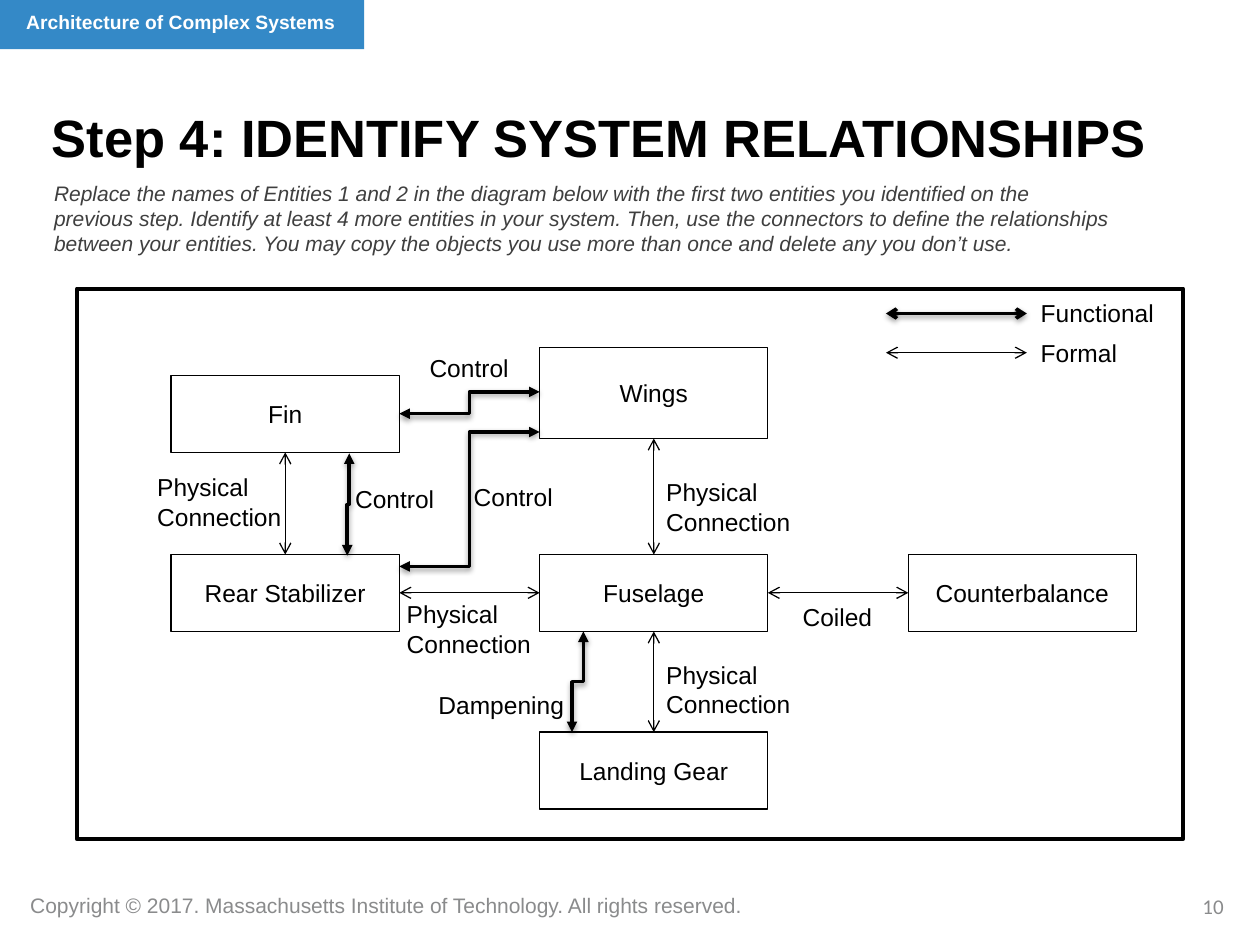
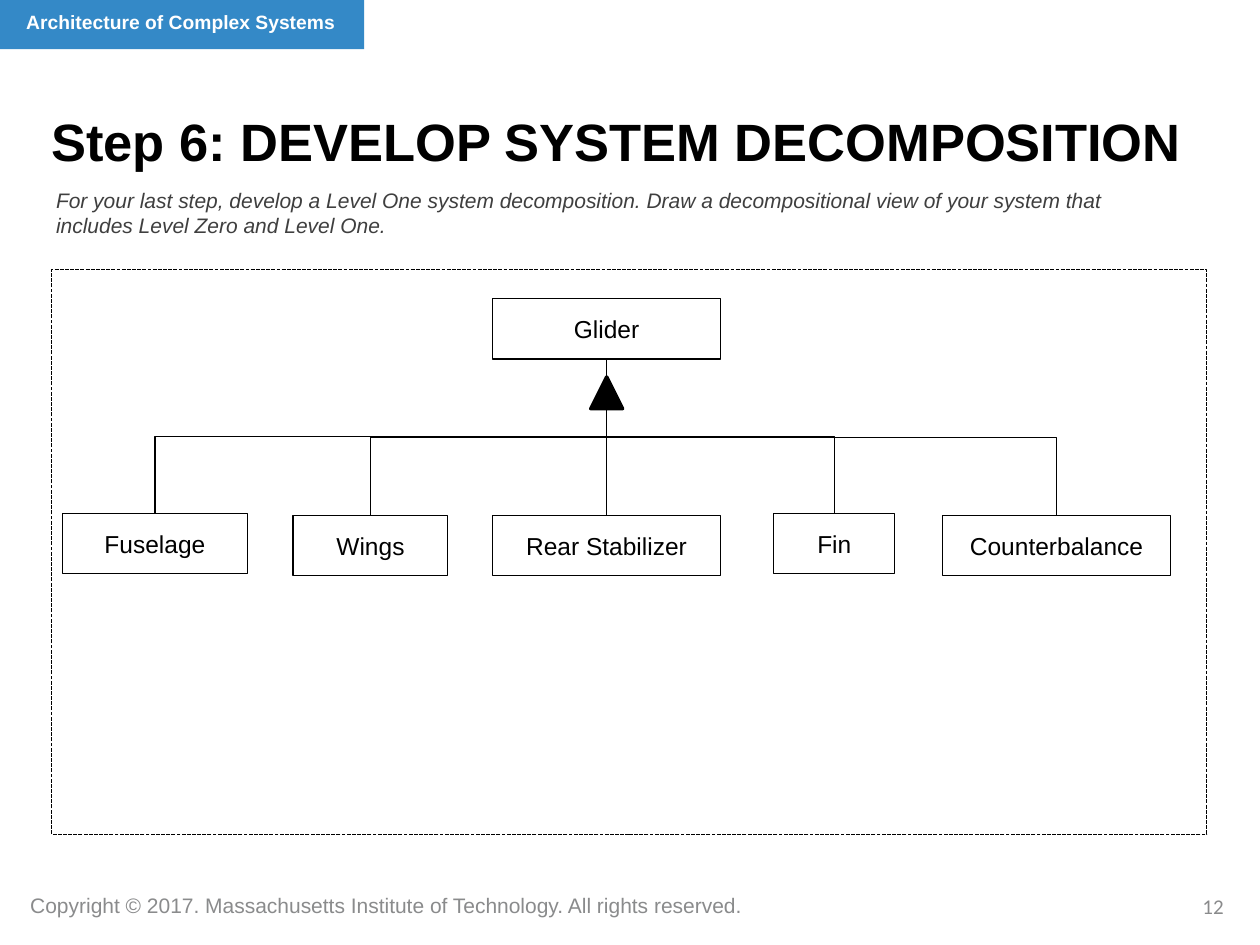
import lxml.etree
import pptx
import pptx.dml.color
import pptx.enum.dml
import pptx.enum.shapes
import pptx.enum.text
import pptx.oxml.ns
import pptx.util

Cm = pptx.util.Cm
Pt = pptx.util.Pt
qn = pptx.oxml.ns.qn
ALIGN = pptx.enum.text.PP_ALIGN
ANCHOR = pptx.enum.text.MSO_ANCHOR
SHAPE = pptx.enum.shapes.MSO_SHAPE
CONNECTOR = pptx.enum.shapes.MSO_CONNECTOR
DASH = pptx.enum.dml.MSO_LINE

COLORS = {
    "band": "3489C7",
    "white": "FFFFFF",
    "black": "000000",
    "instruction": "3F3F3F",
    "footer": "8A8B8C",
}
BOX_WIDTH = 4.6
THIN, THICK = 0.75, 2


def rgb(name):
    return pptx.dml.color.RGBColor.from_string(COLORS[name])


def write(shape, text, size, color="black", bold=False, italic=False,
          align=ALIGN.LEFT, anchor=ANCHOR.TOP, font="Arial", wrap=True):
    frame = shape.text_frame
    frame.text = text
    frame.word_wrap = wrap
    frame.auto_size = pptx.enum.text.MSO_AUTO_SIZE.NONE
    frame.vertical_anchor = anchor
    for paragraph in frame.paragraphs:
        paragraph.alignment = align
        for run in paragraph.runs:
            run.font.name = font
            run.font.size = Pt(size)
            run.font.bold = bold
            run.font.italic = italic
            run.font.color.rgb = rgb(color)


def add_text(slide, text, left, top, width, height, size, **style):
    box = slide.shapes.add_textbox(Cm(left), Cm(top), Cm(width), Cm(height))
    write(box, text, size, **style)


def add_panel(slide, left, top, width, height, fill=None, line=THIN,
              dash=None, kind=SHAPE.RECTANGLE):
    panel = slide.shapes.add_shape(kind, Cm(left), Cm(top), Cm(width), Cm(height))
    panel.shadow.inherit = False
    if fill:
        panel.fill.solid()
        panel.fill.fore_color.rgb = rgb(fill)
    else:
        panel.fill.background()
    if line:
        panel.line.color.rgb = rgb("black")
        panel.line.width = Pt(line)
        if dash:
            panel.line.dash_style = dash
    else:
        panel.line.fill.background()
    return panel


def add_entity(slide, name, left, top, width=BOX_WIDTH, height=1.55):
    box = add_panel(slide, left, top, width, height)
    write(box, name, 14, align=ALIGN.CENTER, anchor=ANCHOR.MIDDLE)


def add_label(slide, text, left, top, width):
    height = 1.45 if "\n" in text else 0.86
    add_text(slide, text, left, top, width, height, 14, wrap=False)


def add_link(slide, start, end, weight=THIN, head=None, vertical=False):
    (x1, y1), (x2, y2) = start, end
    straight = x1 == x2 or y1 == y2
    turned = vertical and not straight
    if turned:
        middle_x, middle_y = (x1 + x2) / 2, (y1 + y2) / 2
        half_x, half_y = (x2 - x1) / 2, (y2 - y1) / 2
        x1, x2 = middle_x - half_y, middle_x + half_y
        y1, y2 = middle_y + half_x, middle_y - half_x
    kind = CONNECTOR.STRAIGHT if straight else CONNECTOR.ELBOW
    link = slide.shapes.add_connector(kind, Cm(x1), Cm(y1), Cm(x2), Cm(y2))
    properties = link._element.spPr
    if turned:
        properties.find(qn("a:xfrm")).set("rot", "5400000")
    link.line.color.rgb = rgb("black")
    link.line.width = Pt(weight)
    if head:
        line = properties.find(qn("a:ln"))
        for end_name in ("a:headEnd", "a:tailEnd"):
            lxml.etree.SubElement(line, qn(end_name), type=head)
    effects = lxml.etree.SubElement(properties, qn("a:effectLst"))
    if weight == THICK:
        shadow = lxml.etree.SubElement(
            effects, qn("a:outerShdw"), blurRad="40000", dist="20000",
            dir="5400000", rotWithShape="0")
        color = lxml.etree.SubElement(shadow, qn("a:srgbClr"), val=COLORS["black"])
        lxml.etree.SubElement(color, qn("a:alpha"), val="38000")


def add_step(presentation, title, title_place, instruction, instruction_place, number):
    slide = presentation.slides.add_slide(presentation.slide_layouts[5])
    add_panel(slide, 0, 0, 7.34, 0.99, fill="band", line=None)
    add_text(slide, "Architecture of Complex Systems", 0.28, 0.08, 7.09, 1.47,
             11, color="white", bold=True)
    add_text(slide, "Copyright © 2017. Massachusetts Institute of Technology. "
             "All rights reserved.", 0.36, 17.86, 15.14, 0.76, 12,
             color="footer", wrap=False)
    add_text(slide, number, 19, 17.88, 5.92, 1.02, 12, color="footer",
             align=ALIGN.RIGHT, font="Calibri")
    heading = slide.shapes.title
    heading.left, heading.top, heading.width, heading.height = map(Cm, title_place)
    heading.fill.solid()
    heading.fill.fore_color.rgb = rgb("white")
    write(heading, title, 30, bold=True)
    add_text(slide, instruction, *instruction_place, 12,
             color="instruction", italic=True)
    return slide


def build_relationships(presentation):
    slide = add_step(
        presentation, "Step 4: IDENTIFY SYSTEM RELATIONSHIPS",
        (0.79, 1.98, 24.08, 1.47),
        "Replace the names of Entities 1 and 2 in the diagram below with the first "
        "two entities you identified on the previous step. Identify at least 4 more "
        "entities in your system. Then, use the connectors to define the "
        "relationships between your entities. You may copy the objects you use more "
        "than once and delete any you don’t use.",
        (0.84, 3.51, 21.84, 1.7), "10")
    add_panel(slide, 1.55, 5.82, 22.3, 11.1, line=2.25)

    left, center, right = (3.45 + 7.43 * column for column in range(3))
    left_edge, center_edge = left + BOX_WIDTH, center + BOX_WIDTH
    left_axis, center_axis = left + BOX_WIDTH / 2, center + BOX_WIDTH / 2
    body_top, body_axis, body_bottom, gear_top = 11.18, 11.95, 12.73, 14.76

    add_entity(slide, "Wings", center, 7.01, height=1.83)
    for name, x, y in (
        ("Fin", left, 7.57),
        ("Rear Stabilizer", left, body_top),
        ("Fuselage", center, body_top),
        ("Counterbalance", right, body_top),
        ("Landing Gear", center, gear_top),
    ):
        add_entity(slide, name, x, y)

    legend_left, legend_right = 17.86, 20.7
    formal_links = (
        ((left_axis, 9.12), (left_axis, body_top)),
        ((center_axis, 8.84), (center_axis, body_top)),
        ((center_axis, body_bottom), (center_axis, gear_top)),
        ((left_edge, body_axis), (center, body_axis)),
        ((center_edge, body_axis), (right, body_axis)),
        ((legend_left, 7.11), (legend_right, 7.11)),
    )
    for start, end in formal_links:
        add_link(slide, start, end, head="arrow")

    functional_links = (
        ((center, 7.9), (left_edge, 8.34), False),
        ((center, 8.71), (left_edge, 11.42), False),
        ((7.04, 9.14), (7.0, 11.2), True),
        ((11.76, body_bottom), (11.53, gear_top), True),
    )
    for start, end, vertical in functional_links:
        add_link(slide, start, end, THICK, "triangle", vertical)
    add_link(slide, (legend_left, 6.32), (legend_right, 6.32), THICK, "arrow")

    for x, y in ((2.92, 9.4), (7.95, 11.96), (13.18, 9.5), (13.18, 13.18)):
        add_label(slide, "Physical\nConnection", x, y, 3.02)
    for x, y in ((8.41, 6.99), (9.3, 9.6), (6.91, 9.63)):
        add_label(slide, "Control", x, y, 2.11)
    add_label(slide, "Coiled", 15.93, 12.01, 1.93)
    add_label(slide, "Dampening", 8.59, 13.79, 3.05)
    add_label(slide, "Functional", 20.73, 5.89, 2.79)
    add_label(slide, "Formal", 20.73, 6.68, 2.06)


def build_decomposition(presentation):
    slide = add_step(
        presentation, "Step 6: DEVELOP SYSTEM DECOMPOSITION",
        (0.78, 2.08, 23.57, 1.47),
        "For your last step, develop a Level One system decomposition. Draw a "
        "decompositional view of your system that includes Level Zero and Level One.",
        (0.88, 3.66, 22.45, 1.7), "12")
    add_panel(slide, 1.04, 5.44, 23.29, 11.38, dash=DASH.SQUARE_DOT)

    height, glider_left, glider_top = 1.22, 9.93, 6.02
    glider_axis = glider_left + BOX_WIDTH / 2
    add_entity(slide, "Glider", glider_left, glider_top, height=height)
    for name, left, top, width in (
        ("Fuselage", 1.26, 10.35, 3.73),
        ("Wings", 5.91, 10.39, 3.12),
        ("Rear Stabilizer", glider_left, 10.39, BOX_WIDTH),
        ("Fin", 15.6, 10.35, 2.44),
        ("Counterbalance", 19, 10.39, BOX_WIDTH),
    ):
        add_entity(slide, name, left, top, width, height)
        add_link(slide, (left + width / 2, top),
                 (glider_axis, glider_top + height), vertical=True)

    size = 0.64
    add_panel(slide, glider_axis - size / 2, 7.6, size, size, fill="black",
              line=THICK, kind=SHAPE.ISOSCELES_TRIANGLE)


def main():
    presentation = pptx.Presentation()
    presentation.slide_width = Cm(25.4)
    presentation.slide_height = Cm(19.05)
    build_relationships(presentation)
    build_decomposition(presentation)
    presentation.save("out.pptx")


if __name__ == "__main__":
    main()
